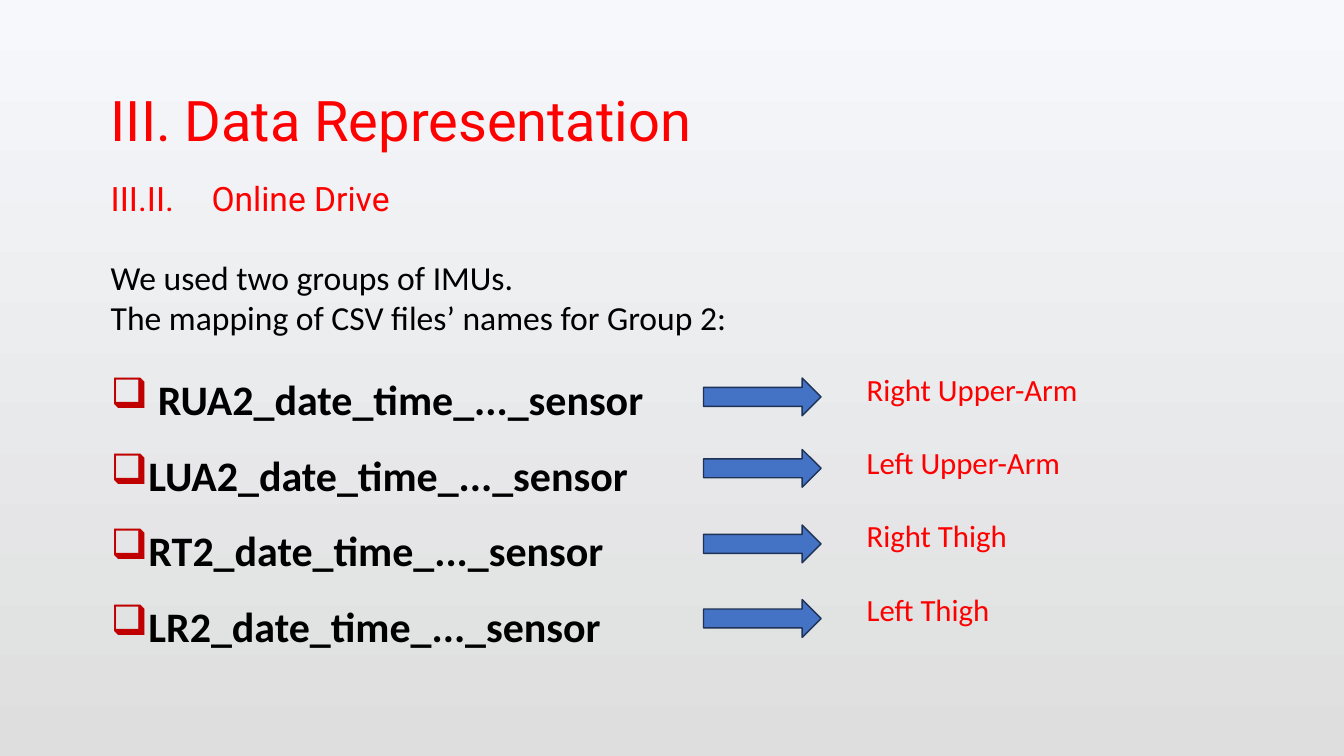
from lxml import etree
from pptx import Presentation, util as u
from pptx.dml.color import RGBColor
from pptx.enum import shapes, text
from pptx.oxml import ns

PX = 9525
RED = RGBColor(0xFF, 0x00, 0x00)
BLACK = RGBColor(0x00, 0x00, 0x00)
BLUE = RGBColor(0x44, 0x72, 0xC4)
NAVY = RGBColor(0x1E, 0x32, 0x56)
TOP = RGBColor(0xF6, 0xF8, 0xFC)
BASE = RGBColor(0xDE, 0xDE, 0xDE)
MARK = RGBColor(0xC0, 0x00, 0x00)
INDENT = 36


def bullet(para, sign):
    props = para._p.get_or_add_pPr()
    props.set("marL", str(INDENT * PX))
    props.set("indent", str(-INDENT * PX))
    tint = etree.SubElement(props, ns.qn("a:buClr"))
    etree.SubElement(tint, ns.qn("a:srgbClr"), val=str(MARK))
    etree.SubElement(props, ns.qn("a:buChar"), char=sign)


class Deck:
    def __init__(self, wide, high):
        self.show = Presentation()
        self.show.slide_width = u.Emu(wide * PX)
        self.show.slide_height = u.Emu(high * PX)
        self.slide = self.show.slides.add_slide(self.show.slide_layouts[6])

    def back(self, start, end):
        fill = self.slide.background.fill
        fill.gradient()
        fill.gradient_angle = 270
        for stop, tone in zip(fill.gradient_stops, (start, end)):
            stop.color.rgb = tone

    def text(self, lines, box, size=24, font="Calibri", color=BLACK,
             bold=False, sign=None, lead=None, gap=0):
        frame = self.slide.shapes.add_textbox(*(u.Emu(n * PX) for n in box)).text_frame
        frame.word_wrap = True
        frame.auto_size = text.MSO_AUTO_SIZE.SHAPE_TO_FIT_TEXT
        for i, line in enumerate(lines):
            para = frame.add_paragraph() if i else frame.paragraphs[0]
            if lead:
                para.line_spacing = lead
            if i and gap:
                para.space_before = u.Pt(gap)
            if sign:
                bullet(para, sign)
            run = para.add_run()
            run.text = line
            run.font.name = font
            run.font.size = u.Pt(size)
            run.font.bold = bold
            run.font.color.rgb = color

    def arrow(self, box):
        shape = self.slide.shapes.add_shape(
            shapes.MSO_SHAPE.RIGHT_ARROW, *(u.Emu(n * PX) for n in box))
        shape.shadow.inherit = False
        shape.fill.solid()
        shape.fill.fore_color.rgb = BLUE
        shape.line.color.rgb = NAVY
        shape.line.width = u.Pt(1)


def main():
    deck = Deck(1280, 720)
    deck.back(TOP, BASE)
    deck.text(["III. Data Representation"], (96, 77, 598, 74),
              size=40, font="Roboto", color=RED)
    deck.text(["III.II.\tOnline Drive"], (96, 165, 640, 48),
              font="Roboto", color=RED)
    deck.text(["We used two groups of IMUs.",
               "The mapping of CSV files’ names for Group 2:"],
              (96, 240, 1017, 87))
    files = [f"{code}_date_time_..._sensor"
             for code in (" RUA2", "LUA2", "RT2", "LR2")]
    deck.text(files, (96, 327, 1017, 366),
              size=30, bold=True, sign="❑", lead=1.5)
    for top in (360, 428, 500, 571):
        deck.arrow((670, top, 112, 36))
    deck.text(["Right Upper-Arm", "Left Upper-Arm", "Right Thigh", "Left Thigh"],
              (816, 348, 303, 258), size=22, color=RED, gap=26)
    deck.show.save("out.pptx")


if __name__ == "__main__":
    main()
